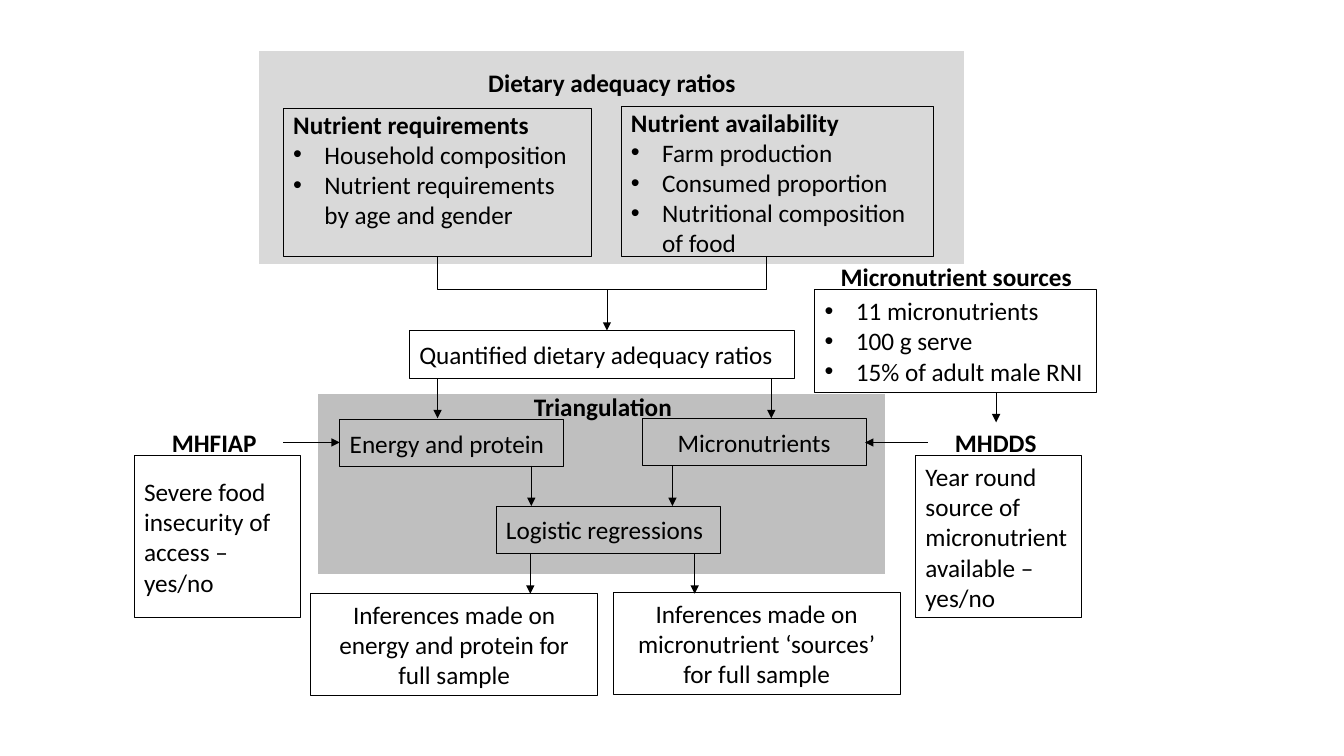
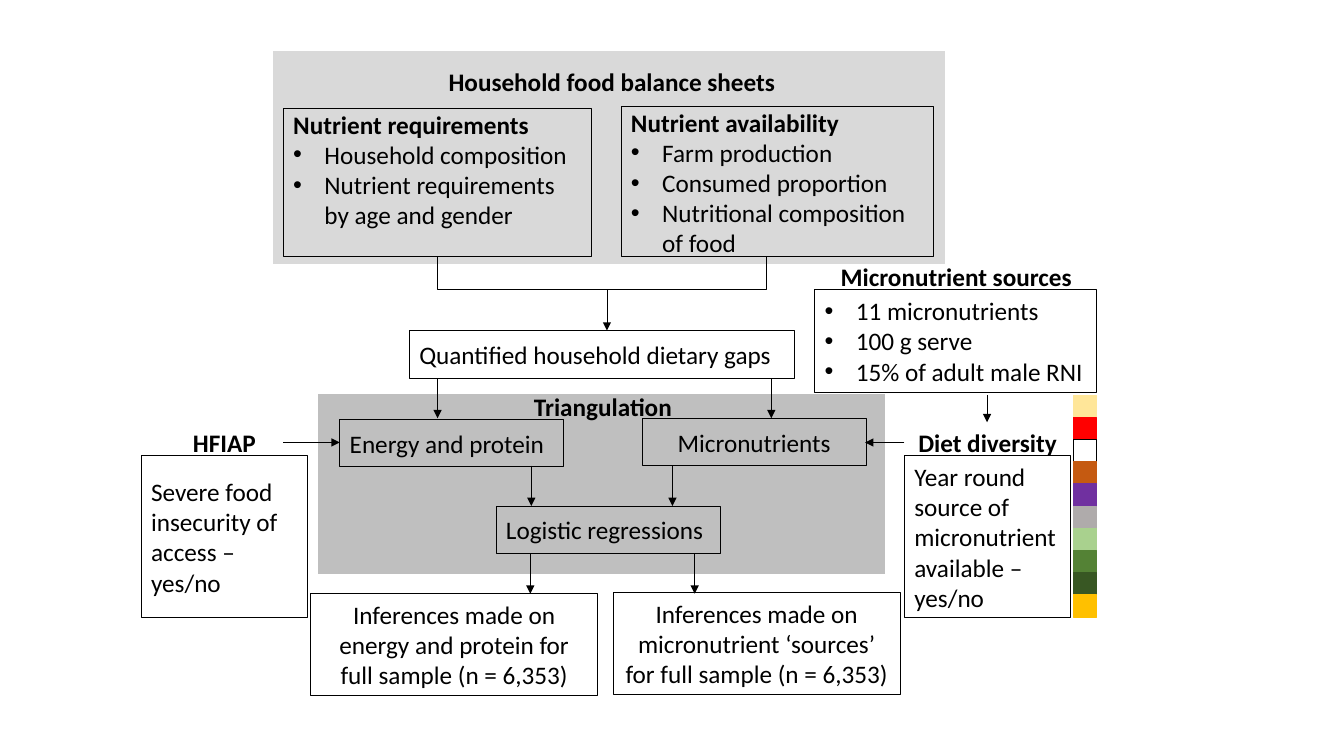
from dataclasses import dataclass

from lxml import etree
from pptx import Presentation
from pptx import slide as sl
from pptx import util as u
from pptx.dml import color
from pptx.enum import shapes, text
from pptx.oxml import ns
from pptx.shapes import autoshape, connector
from pptx.text import text as tx

Bounds = tuple[float, float, float, float]
Point = tuple[float, float]

FONT = "Calibri"
TEXT_SIZE = 18
THIN, THICK = 0.5, 1.5
BULLET_INDENT = 0.31
BLACK, WHITE = "000000", "FFFFFF"
PANEL_LIGHT, PANEL_DARK = "D9D9D9", "BFBFBF"
LEFT, CENTER = text.PP_ALIGN.LEFT, text.PP_ALIGN.CENTER
TOP, MIDDLE = text.MSO_ANCHOR.TOP, text.MSO_ANCHOR.MIDDLE
CHIP_LEFT, CHIP_TOP, CHIP_SIZE = 10.65, 3.92, 0.22


@dataclass(frozen=True)
class Box:
    bounds: Bounds
    body: str = ""
    align: text.PP_ALIGN = LEFT
    heading: str = ""
    bullets: tuple[str, ...] = ()


@dataclass(frozen=True)
class Label:
    bounds: Bounds
    words: str


@dataclass(frozen=True)
class Arrow:
    start: Point
    end: Point


@dataclass(frozen=True)
class Diagram:
    title: Label
    panel: Bounds
    outcome: str
    access: Label
    access_left: float
    diversity: Label
    diversity_left: float
    diversity_arrow_start: float
    source_arrow: Arrow
    sample: str = ""
    chips: tuple[str, ...] = ()


TRIANGULATION_PANEL = (3.14, 3.9, 5.65, 1.81)

SHARED_BOXES = (
    Box((6.16, 1.06, 3.1, 1.48), heading="Nutrient availability",
        bullets=("Farm production", "Consumed proportion",
                 "Nutritional composition of food")),
    Box((2.81, 1.08, 3.06, 1.46), heading="Nutrient requirements",
        bullets=("Household composition",
                 "Nutrient requirements by age and gender")),
    Box((3.37, 4.16, 2.22, 0.47), "Energy and protein"),
    Box((6.37, 4.15, 2.22, 0.47), "Micronutrients", CENTER),
    Box((4.92, 5.02, 2.22, 0.47), "Logistic regressions"),
    Box((8.08, 2.87, 2.79, 1.02),
        bullets=("11 micronutrients", "100 g serve", "15% of adult male RNI")),
)

SHARED_LABELS = (
    Label((8.2, 2.54, 2.57, 0.4), "Micronutrient sources"),
    Label((5.19, 3.83, 1.58, 0.4), "Triangulation"),
)

DOWN_LENGTH = 0.4
DOWN_STARTS = ((6.02, 2.88), (4.34, 3.75), (7.65, 3.75), (5.27, 4.62),
               (6.67, 4.62), (5.26, 5.49), (6.89, 5.49))
SIDE_ARROW_Y = 4.39
BRACKET_MIDDLE = (5.97, 2.87)
BRACKET_ENDS = ((4.34, 2.54), (7.6, 2.54))

DIAGRAMS = (
    Diagram(
        title=Label((2.56, 0.62, 7.02, 0.4), "Dietary adequacy ratios"),
        panel=(2.56, 0.5, 7.01, 2.13),
        outcome="Quantified dietary adequacy ratios",
        access=Label((1.45, 4.19, 1.35, 0.4), "MHFIAP"),
        access_left=1.33,
        diversity=Label((9.2, 4.19, 1.35, 0.4), "MHDDS"),
        diversity_left=9.08,
        diversity_arrow_start=9.2,
        source_arrow=Arrow((9.88, 3.89), (9.88, 4.19)),
    ),
    Diagram(
        title=Label((2.61, 0.61, 6.92, 0.4), "Household food balance sheets"),
        panel=(2.7, 0.5, 6.68, 2.13),
        outcome="Quantified household dietary gaps",
        access=Label((1.55, 4.19, 1.35, 0.4), "HFIAP"),
        access_left=1.4,
        diversity=Label((8.97, 4.19, 1.65, 0.4), "Diet diversity"),
        diversity_left=8.97,
        diversity_arrow_start=8.97,
        source_arrow=Arrow((9.79, 3.92), (9.79, 4.19)),
        sample=" (n = 6,353)",
        chips=("FFE699", "FF0000", WHITE, "C55A11", "7030A0",
               "AFABAB", "A9D18E", "548235", "385723", "FFC000"),
    ),
)


def rgb(value: str) -> color.RGBColor:
    return color.RGBColor.from_string(value)


def inches(values: tuple[float, ...]) -> list[u.Length]:
    return [u.Inches(value) for value in values]


def write(paragraph: tx._Paragraph, words: str, align: text.PP_ALIGN = LEFT,
          bold: bool = False) -> None:
    paragraph.alignment = align
    run = paragraph.add_run()
    run.text = words
    run.font.name = FONT
    run.font.size = u.Pt(TEXT_SIZE)
    run.font.bold = bold
    run.font.color.rgb = rgb(BLACK)


def add_bullet(paragraph: tx._Paragraph) -> None:
    properties = paragraph._p.get_or_add_pPr()
    properties.set("marL", str(u.Inches(BULLET_INDENT)))
    properties.set("indent", str(-u.Inches(BULLET_INDENT)))
    etree.SubElement(properties, ns.qn("a:buFont")).set("typeface", "Arial")
    etree.SubElement(properties, ns.qn("a:buChar")).set("char", "•")


def add_rectangle(slide: sl.Slide, bounds: Bounds, fill: str | None = None,
                  line: str = BLACK, width: float = THIN) -> autoshape.Shape:
    shape = slide.shapes.add_shape(shapes.MSO_SHAPE.RECTANGLE, *inches(bounds))
    shape.shadow.inherit = False
    if fill:
        shape.fill.solid()
        shape.fill.fore_color.rgb = rgb(fill)
    else:
        shape.fill.background()
    shape.line.color.rgb = rgb(line)
    shape.line.width = u.Pt(width)
    return shape


def add_box(slide: sl.Slide, box: Box) -> None:
    frame = add_rectangle(slide, box.bounds).text_frame
    frame.word_wrap = True
    frame.vertical_anchor = TOP if box.heading else MIDDLE
    if box.heading:
        frame.margin_top = 0
    lines = [line for line in (box.heading, box.body, *box.bullets) if line]
    for index, line in enumerate(lines):
        paragraph = frame.add_paragraph() if index else frame.paragraphs[0]
        write(paragraph, line, box.align, bold=line == box.heading)
        if line in box.bullets:
            add_bullet(paragraph)


def fill_label(shape: autoshape.Shape, words: str) -> None:
    frame = shape.text_frame
    frame.word_wrap = True
    frame.auto_size = text.MSO_AUTO_SIZE.NONE
    frame.vertical_anchor = TOP
    write(frame.paragraphs[0], words, CENTER, bold=True)


def add_label(slide: sl.Slide, label: Label) -> None:
    fill_label(slide.shapes.add_textbox(*inches(label.bounds)), label.words)


def place_title(slide: sl.Slide, label: Label) -> None:
    title = slide.shapes.title
    title.left, title.top, title.width, title.height = inches(label.bounds)
    fill_label(title, label.words)
    slide.shapes._spTree.append(title._element)


def add_line(slide: sl.Slide, start: Point, end: Point,
             kind: shapes.MSO_CONNECTOR) -> connector.Connector:
    line = slide.shapes.add_connector(kind, *inches(start + end))
    line.line.color.rgb = rgb(BLACK)
    line.line.width = u.Pt(THIN)
    etree.SubElement(line._element.spPr, ns.qn("a:effectLst"))
    return line


def add_arrow(slide: sl.Slide, arrow: Arrow) -> None:
    line = add_line(slide, arrow.start, arrow.end, shapes.MSO_CONNECTOR.STRAIGHT)
    head = etree.SubElement(line.line._get_or_add_ln(), ns.qn("a:tailEnd"))
    head.set("type", "triangle")


def add_bracket(slide: sl.Slide) -> None:
    for end in BRACKET_ENDS:
        elbow = add_line(slide, BRACKET_MIDDLE, end, shapes.MSO_CONNECTOR.ELBOW)
        elbow._element.spPr.find(ns.qn("a:prstGeom")).set("prst", "bentConnector2")


def add_chips(slide: sl.Slide, chips: tuple[str, ...]) -> None:
    for row, chip in enumerate(chips):
        bounds = (CHIP_LEFT, CHIP_TOP + row * CHIP_SIZE, CHIP_SIZE, CHIP_SIZE)
        add_rectangle(slide, bounds, chip, BLACK if chip == WHITE else chip)


def diagram_boxes(diagram: Diagram) -> tuple[Box, ...]:
    return SHARED_BOXES + (
        Box((4.06, 3.28, 3.82, 0.47), diagram.outcome),
        Box((diagram.access_left, 4.52, 1.65, 1.61),
            "Severe food insecurity of access – yes/no"),
        Box((diagram.diversity_left, 4.52, 1.65, 1.61),
            "Year round source of micronutrient available – yes/no"),
        Box((6.08, 5.88, 2.85, 1.01),
            "Inferences made on micronutrient ‘sources’ for full sample"
            + diagram.sample, CENTER),
        Box((3.08, 5.89, 2.85, 1.01),
            "Inferences made on energy and protein for full sample"
            + diagram.sample, CENTER),
    )


def diagram_arrows(diagram: Diagram) -> list[Arrow]:
    down = [Arrow((x, y), (x, y + DOWN_LENGTH)) for x, y in DOWN_STARTS]
    return down + [
        Arrow((2.81, SIDE_ARROW_Y), (3.37, SIDE_ARROW_Y)),
        Arrow((diagram.diversity_arrow_start, SIDE_ARROW_Y), (8.58, SIDE_ARROW_Y)),
        diagram.source_arrow,
    ]


def draw_diagram(slide: sl.Slide, diagram: Diagram) -> None:
    add_rectangle(slide, diagram.panel, PANEL_LIGHT, WHITE, THICK)
    add_rectangle(slide, TRIANGULATION_PANEL, PANEL_DARK, WHITE, THICK)
    for box in diagram_boxes(diagram):
        add_box(slide, box)
    add_bracket(slide)
    for arrow in diagram_arrows(diagram):
        add_arrow(slide, arrow)
    for label in (*SHARED_LABELS, diagram.access, diagram.diversity):
        add_label(slide, label)
    place_title(slide, diagram.title)
    add_chips(slide, diagram.chips)


def main() -> None:
    presentation = Presentation()
    presentation.slide_width = u.Inches(13.33)
    presentation.slide_height = u.Inches(7.5)
    title_only = presentation.slide_layouts.get_by_name("Title Only")
    for diagram in DIAGRAMS:
        draw_diagram(presentation.slides.add_slide(title_only), diagram)
    presentation.save("out.pptx")


if __name__ == "__main__":
    main()
